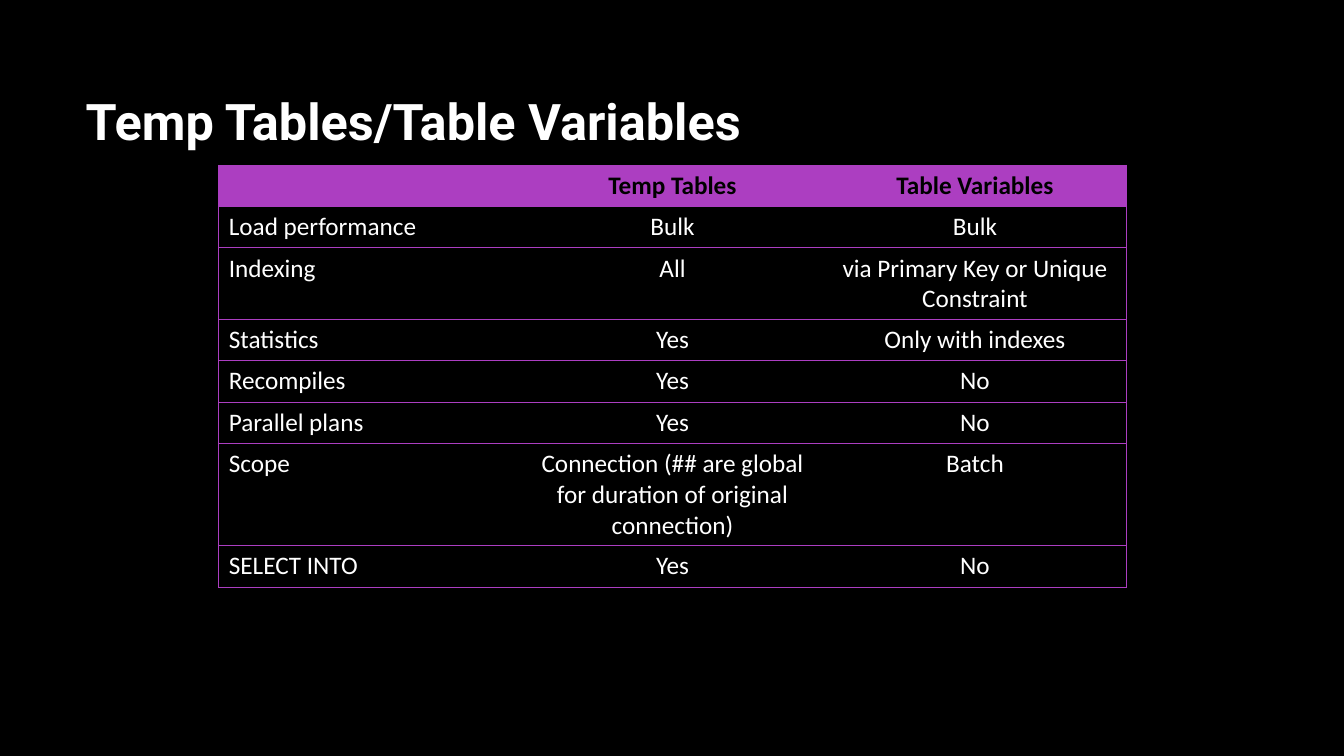
"""Build the slide comparing temp tables with table variables."""
from lxml.etree import SubElement
from pptx import Presentation
from pptx.dml.color import RGBColor
from pptx.enum.text import MSO_ANCHOR, PP_ALIGN
from pptx.oxml.ns import qn
from pptx.util import Inches, Pt

TITLE = "Temp Tables/Table Variables"
COMPARISON = [
    ("", "Temp Tables", "Table Variables"),
    ("Load performance", "Bulk", "Bulk"),
    ("Indexing", "All", "via Primary Key or Unique Constraint"),
    ("Statistics", "Yes", "Only with indexes"),
    ("Recompiles", "Yes", "No"),
    ("Parallel plans", "Yes", "No"),
    ("Scope", "Connection (## are global for duration of original connection)", "Batch"),
    ("SELECT INTO", "Yes", "No"),
]
BLACK, WHITE, PURPLE = "000000", "FFFFFF", "AC3EC1"
COLUMN_WIDTH, ROW_HEIGHT = 3, 0.41


def paint(fill, color):
    fill.solid()
    fill.fore_color.rgb = RGBColor.from_string(color)


def style_text(paragraph, font_name, size, color, bold, align):
    paragraph.alignment = align
    font = paragraph.font
    font.name, font.size, font.bold = font_name, Pt(size), bold
    font.color.rgb = RGBColor.from_string(color)


def add_borders(cell, visible_sides):
    properties = cell._tc.get_or_add_tcPr()
    for side in "LRTB":
        border = SubElement(properties, qn(f"a:ln{side}"), w=str(Pt(0.75)))
        if side in visible_sides:
            SubElement(SubElement(border, qn("a:solidFill")), qn("a:srgbClr"), val=PURPLE)
        else:
            SubElement(border, qn("a:noFill"))


presentation = Presentation()
presentation.slide_width, presentation.slide_height = Inches(13.33), Inches(7.5)
slide = presentation.slides.add_slide(presentation.slide_layouts[5])
paint(slide.background.fill, BLACK)

title = slide.shapes.title
title.left, title.top = Inches(0.75), Inches(0.67)
title.width, title.height = Inches(11.08), Inches(1.05)
title.text_frame.text = TITLE
title.text_frame.vertical_anchor = MSO_ANCHOR.MIDDLE
style_text(title.text_frame.paragraphs[0], "Roboto", 36, WHITE, True, PP_ALIGN.LEFT)

row_count, column_count = len(COMPARISON), len(COMPARISON[0])
table = slide.shapes.add_table(
    row_count, column_count, Inches(2.17), Inches(1.64),
    Inches(COLUMN_WIDTH * column_count), Inches(ROW_HEIGHT * row_count),
).table
for row in table.rows:
    row.height = Inches(ROW_HEIGHT)

outer_sides = {0: "L", column_count - 1: "R"}
for row_index, entries in enumerate(COMPARISON):
    is_header = row_index == 0
    for column_index, entry in enumerate(entries):
        cell = table.cell(row_index, column_index)
        cell.text = entry
        add_borders(cell, "TB" + outer_sides.get(column_index, ""))
        paint(cell.fill, PURPLE if is_header else BLACK)
        style_text(
            cell.text_frame.paragraphs[0], "Calibri", 18,
            BLACK if is_header else WHITE, is_header,
            PP_ALIGN.CENTER if column_index else PP_ALIGN.LEFT,
        )

presentation.save("out.pptx")
